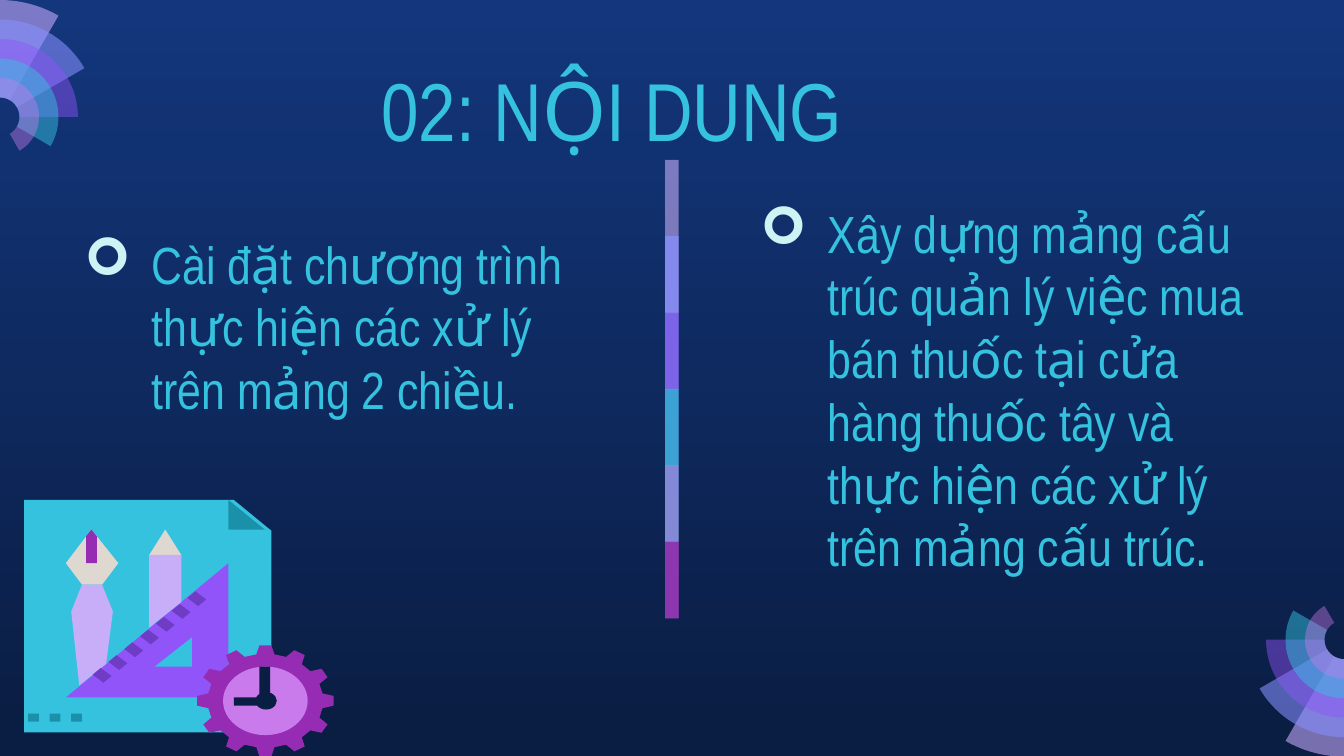
from math import cos, radians, sin

from lxml.etree import SubElement
from pptx import Presentation
from pptx.dml.color import RGBColor as Rgb
from pptx.enum.lang import MSO_LANGUAGE_ID as Lang
from pptx.enum.shapes import MSO_SHAPE as Kind
from pptx.enum.text import MSO_ANCHOR as Anchor
from pptx.oxml.ns import qn
from pptx.util import Pt

PX = 9144
WIDE = 1000
FONT = "Arial Narrow"
HUES = {
    "top": "13367C", "navy": "0A1D42", "cyan": "35C2DF", "teal": "1B91A9",
    "lilac": "C8ACFD", "mauve": "C8AEF8", "blue": "878FFF", "violet": "9154F8",
    "pink": "CA7BEB", "plum": "972CB4", "sand": "DED8D0", "mark": "6F3CC6",
    "ice": "CEF3F5",
}
FAN = [("lilac", 58), ("blue", 58), ("violet", 46), ("cyan", 49), ("pink", 42)]
BAR = [("mauve", 59), ("blue", 74), ("violet", 53), ("cyan", 76),
       ("pink", 56), ("plum", 74)]


def hue(name):
    return Rgb.from_string(HUES[name])


def emu(*sizes):
    return [round(n * PX) for n in sizes]


def paint(shape, name, alpha=100):
    shape.shadow.inherit = False
    shape.line.fill.background()
    shape.fill.solid()
    shape.fill.fore_color.rgb = hue(name)
    if alpha < 100:
        tint = next(shape._element.spPr.iter(qn("a:srgbClr")))
        SubElement(tint, qn("a:alpha")).set("val", str(alpha * 1000))


def block(slide, name, left, top, width, height, kind=Kind.RECTANGLE, alpha=100):
    shape = slide.shapes.add_shape(kind, *emu(left, top, width, height))
    paint(shape, name, alpha)


def outline(slide, name, *loops, alpha=100):
    loops = [[emu(*spot) for spot in loop] for loop in loops]
    pen = slide.shapes.build_freeform(*loops[0][0])
    for loop in loops:
        pen.move_to(*loop[0])
        pen.add_line_segments(loop[1:])
    paint(pen.convert_to_shape(), name, alpha)


def point(mid, wide, high, angle):
    turn = radians(angle)
    return mid[0] + wide * sin(turn), mid[1] - high * cos(turn)


def fan(slide, mid, start):
    for i, (name, alpha) in enumerate(FAN):
        size = 87 - 14.5 * i
        turns = range(start, start + 30 * (i + 1) + 1, 3)
        outer = [point(mid, size, size, a) for a in turns]
        inner = [point(mid, 14.5, 14.5, a) for a in reversed(turns)]
        outline(slide, name, outer + inner, alpha=alpha)


def column(slide):
    for i, (name, alpha) in enumerate(BAR):
        height = 57 if i == len(BAR) - 1 else 114
        block(slide, name, 495, 119 + 56.8 * i, 10, height, alpha=alpha)


def gear(slide):
    mid = (197.5, 521.5)
    teeth = []
    for turn in range(0, 360, 30):
        for wide, high, lean in ((43, 35, -9), (51, 41.5, -5),
                                 (51, 41.5, 5), (43, 35, 9)):
            teeth.append(point(mid, wide, high, turn + lean))
    outline(slide, "plum", teeth)


def clock(slide):
    block(slide, "pink", 166, 496, 63, 51, Kind.OVAL)
    outline(slide, "navy", [(193, 496), (193, 519), (174, 519), (174, 525),
                            (201, 525), (201, 496)])
    block(slide, "navy", 190, 515, 16, 13, Kind.OVAL)


def tools(slide):
    outline(slide, "sand", [(123, 394), (111, 413), (135, 413)])
    outline(slide, "mauve", [(111, 413), (111, 467), (135, 448), (135, 413)])
    outline(slide, "sand", [(68, 394), (49, 419), (61, 435), (76, 435), (88, 419)])
    outline(slide, "mauve", [(61, 435), (53, 455), (59, 510), (79, 494),
                             (84, 455), (76, 435)])


def desk(slide):
    outline(slide, "cyan", [(18, 372), (18, 545), (202, 545), (202, 395), (174, 372)])
    outline(slide, "teal", [(170, 372), (170, 394), (197, 394)])
    outline(slide, "violet", [(143, 474), (143, 496), (115, 496)],
            [(170, 419), (49, 519), (170, 519)])
    gear(slide)
    tools(slide)
    clock(slide)
    outline(slide, "plum", [(68, 394), (64, 399), (64, 419), (72, 419), (72, 399)])
    for i in range(7):
        x, y = 75 + 11.75 * i, 497 - 9.5 * i
        outline(slide, "mark", [(x, y), (x - 6, y + 5), (x + 2, y + 11), (x + 8, y + 6)])
    for left in (21, 37, 53):
        block(slide, "teal", left, 531, 8, 6)


def bullet(para):
    props = para._p.get_or_add_pPr()
    props.set("marL", str(50 * PX))
    props.set("indent", str(-50 * PX))
    color = SubElement(props, qn("a:buClr"))
    SubElement(color, qn("a:srgbClr")).set("val", HUES["ice"])
    SubElement(props, qn("a:buFont")).set("typeface", "Wingdings")
    SubElement(props, qn("a:buChar")).set("char", "➢")


def label(slide, text, left, top, width, height, size, listed=True, right=10):
    box = slide.shapes.add_textbox(*emu(left, top, width, height))
    frame = box.text_frame
    frame.word_wrap = True
    frame.vertical_anchor = Anchor.MIDDLE
    frame.margin_left = frame.margin_top = frame.margin_bottom = 10 * PX
    frame.margin_right = right * PX
    para = frame.paragraphs[0]
    para.text = text
    if listed:
        bullet(para)
    para.font.name = FONT
    para.font.size = Pt(size)
    para.font.color.rgb = hue("cyan")
    para.runs[0].font.language_id = Lang.VIETNAMESE
    return box


def ground(slide):
    fill = slide.background.fill
    fill.gradient()
    fill.gradient_angle = 270
    for stop, name in zip(fill.gradient_stops, ("top", "navy")):
        stop.color.rgb = hue(name)


def main():
    deck = Presentation()
    deck.slide_width, deck.slide_height = emu(WIDE, WIDE * 9 / 16)
    slide = deck.slides.add_slide(deck.slide_layouts[6])
    ground(slide)
    fan(slide, (WIDE, 476), 180)
    fan(slide, (0, 87), 0)
    column(slide)
    label(slide, "02: NỘI DUNG", 274, 25, 533, 112, 44, listed=False)
    label(slide, "Cài đặt chương trình thực hiện các xử lý trên mảng 2 chiều.",
          53, 160, 392, 165, 28)
    desk(slide)
    label(slide, "Xây dựng mảng cấu trúc quản lý việc mua bán thuốc tại cửa hàng "
          "thuốc tây và thực hiện các xử lý trên mảng cấu trúc.",
          556, 167, 404, 245, 28, right=31)
    deck.save("out.pptx")


if __name__ == "__main__":
    main()
